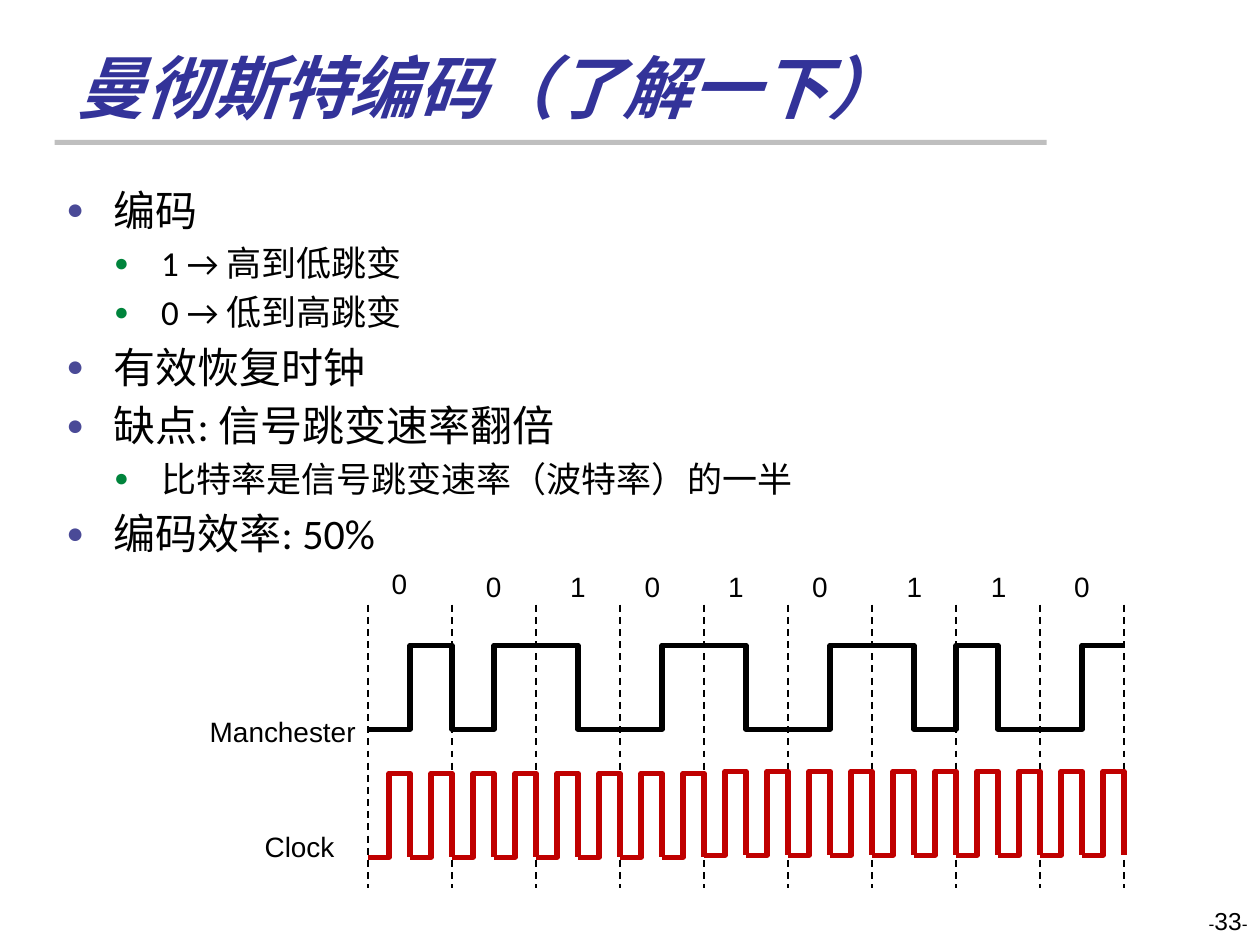
from lxml import etree
from pptx import Presentation
from pptx import util as u
from pptx.dml.color import RGBColor
from pptx.enum import dml, shapes, text
from pptx.oxml import ns

COLORS = {"title": "333399", "rule": "BFBFBF", "text": "000000",
          "clock": "C00000", "bullet": "4A4A97", "sub_bullet": "00843C"}
LEVELS = [{"size": 24, "indent": 0.97, "before": 4.8, "bullet": "bullet"},
          {"size": 20, "indent": 1.93, "before": 4, "bullet": "sub_bullet"}]
POINTS = [(0, "编码"),
          (1, "1 → 高到低跳变"),
          (1, "0 → 低到高跳变"),
          (0, "有效恢复时钟"),
          (0, "缺点: 信号跳变速率翻倍"),
          (1, "比特率是信号跳变速率（波特率）的一半"),
          (0, "编码效率: 50%")]
# Each bit with the centre and top of its label, in cm from its own cell
BITS = [("0", 0.63, 0), ("0", 0.84, 0.05), ("1", 0.84, 0.05),
        ("0", 0.65, 0.05), ("1", 0.64, 0.05), ("0", 0.64, 0.05),
        ("1", 0.85, 0.05), ("1", 0.86, 0.05), ("0", 0.84, 0.05)]
HANGING = 0.95
PULSE_HEIGHT = 1.69


def color(name):
    return RGBColor.from_string(COLORS[name])


def set_font(font, name="Arial", fill="text", **values):
    font.name = name
    font.color.rgb = color(fill)
    for key, value in values.items():
        setattr(font, key, u.Pt(value) if key == "size" else value)


def add_box(page, left, top, width, height, wrap=True):
    box = page.shapes.add_textbox(*map(u.Cm, (left, top, width, height)))
    box.text_frame.word_wrap = wrap
    return box.text_frame


def add_bullet(para, fill):
    props = para._p.get_or_add_pPr()
    parts = [("a:buClr", {}), ("a:buSzPct", {"val": "70000"}),
             ("a:buFont", {"typeface": "Arial"}), ("a:buChar", {"char": "●"})]
    for tag, values in parts:
        part = etree.SubElement(props, ns.qn(tag), values)
        if tag == "a:buClr":
            etree.SubElement(part, ns.qn("a:srgbClr"), {"val": COLORS[fill]})


def add_title(page, left, top, width, height):
    frame = add_box(page, left, top, width, height)
    frame.vertical_anchor = text.MSO_ANCHOR.BOTTOM
    para = frame.paragraphs[0]
    span = para.add_run()
    span.text = "曼彻斯特编码（了解一下）"
    set_font(span.font, "Calibri", "title", size=39, bold=True, italic=True)

    rule = page.shapes.add_shape(
        shapes.MSO_SHAPE.RECTANGLE, u.Cm(left - 0.2), u.Cm(top + 2.11),
        u.Cm(20), u.Cm(0.1))
    rule.shadow.inherit = False
    rule.fill.solid()
    rule.fill.fore_color.rgb = color("rule")
    rule.line.fill.background()


def add_points(page, left, top, width, height):
    frame = add_box(page, left, top, width, height)
    for index, (level, words) in enumerate(POINTS):
        style = LEVELS[level]
        para = frame.add_paragraph() if index else frame.paragraphs[0]
        para.level = level
        if index:
            para.space_before = u.Pt(style["before"])
        props = para._p.get_or_add_pPr()
        props.set("marL", str(u.Cm(style["indent"])))
        props.set("indent", str(-u.Cm(HANGING)))
        add_bullet(para, style["bullet"])
        span = para.add_run()
        span.text = words
        set_font(span.font, "Calibri", size=style["size"])


def add_page_number(page, left, top, width, height):
    para = add_box(page, left, top, width, height).paragraphs[0]
    para.alignment = text.PP_ALIGN.RIGHT
    for words, size in (("-", 10), ("33", 14), ("-", 10)):
        span = para.add_run()
        span.text = words
        set_font(span.font, size=size)


def add_label(page, words, center, top, width):
    frame = add_box(page, center - width / 2, top, width, 0.93, wrap=False)
    frame.auto_size = text.MSO_AUTO_SIZE.SHAPE_TO_FIT_TEXT
    para = frame.paragraphs[0]
    para.alignment = text.PP_ALIGN.CENTER
    span = para.add_run()
    span.text = words
    set_font(span.font, size=16)


def add_divider(page, x, top, height):
    line = page.shapes.add_connector(
        shapes.MSO_CONNECTOR.STRAIGHT,
        u.Cm(x), u.Cm(top), u.Cm(x), u.Cm(top + height))
    line.line.color.rgb = color("text")
    line.line.width = u.Pt(1)
    line.line.dash_style = dml.MSO_LINE.DASH
    etree.SubElement(line._element.spPr, ns.qn("a:effectLst"))


def add_wave(page, points, fill):
    (start, *rest) = [(u.Cm(x), u.Cm(y)) for x, y in points]
    builder = page.shapes.build_freeform(*start)
    builder.add_line_segments(rest, close=False)
    wave = builder.convert_to_shape()
    wave.shadow.inherit = False
    wave.fill.background()
    wave.line.color.rgb = color(fill)
    wave.line.width = u.Pt(3)


def manchester_points(left, top, cell):
    """Return the corners of the signal: 0 rises and 1 falls in mid cell."""
    levels = [half for bit, *_ in BITS for half in ((0, 1) if bit == "0" else (1, 0))]
    points = []
    for index, level in enumerate(levels):
        y = top + (1 - level) * PULSE_HEIGHT
        if points and points[-1][1] == y:
            points.pop()
        else:
            points.append((left + index * cell / 2, y))
        points.append((left + (index + 1) * cell / 2, y))
    return points


def add_timing(page, left, top, width, height):
    cell = width / len(BITS)
    for index in range(len(BITS) + 1):
        add_divider(page, left + index * cell, top, height)
    for index, (bit, center, drop) in enumerate(BITS):
        add_label(page, bit, left + index * cell + center, top - 0.89 + drop, 0.81)

    add_label(page, "Manchester", left - 1.72, top + 2.08, 3.5)
    add_label(page, "Clock", left - 1.38, top + 4.41, 2.1)
    add_wave(page, manchester_points(left, top + 0.82, cell), "text")

    period = cell / 2
    for index in range(2 * len(BITS)):
        x = left + index * period
        high = top + (3.4 if index < 8 else 3.36)
        low = high + PULSE_HEIGHT
        add_wave(page, [(x, low), (x + period / 2, low), (x + period / 2, high),
                        (x + period, high), (x + period, low)], "clock")


def main():
    deck = Presentation()
    deck.slide_width, deck.slide_height = u.Cm(25.4), u.Cm(19.05)
    page = deck.slides.add_slide(deck.slide_layouts[6])
    add_title(page, 1.3, 0.71, 20.96, 1.98)
    add_points(page, 1.07, 3.59, 22.86, 14.81)
    add_page_number(page, 19.48, 18.13, 5.92, 1.27)
    add_timing(page, 7.42, 12.19, 15.24, 5.72)
    deck.save("out.pptx")


if __name__ == "__main__":
    main()
